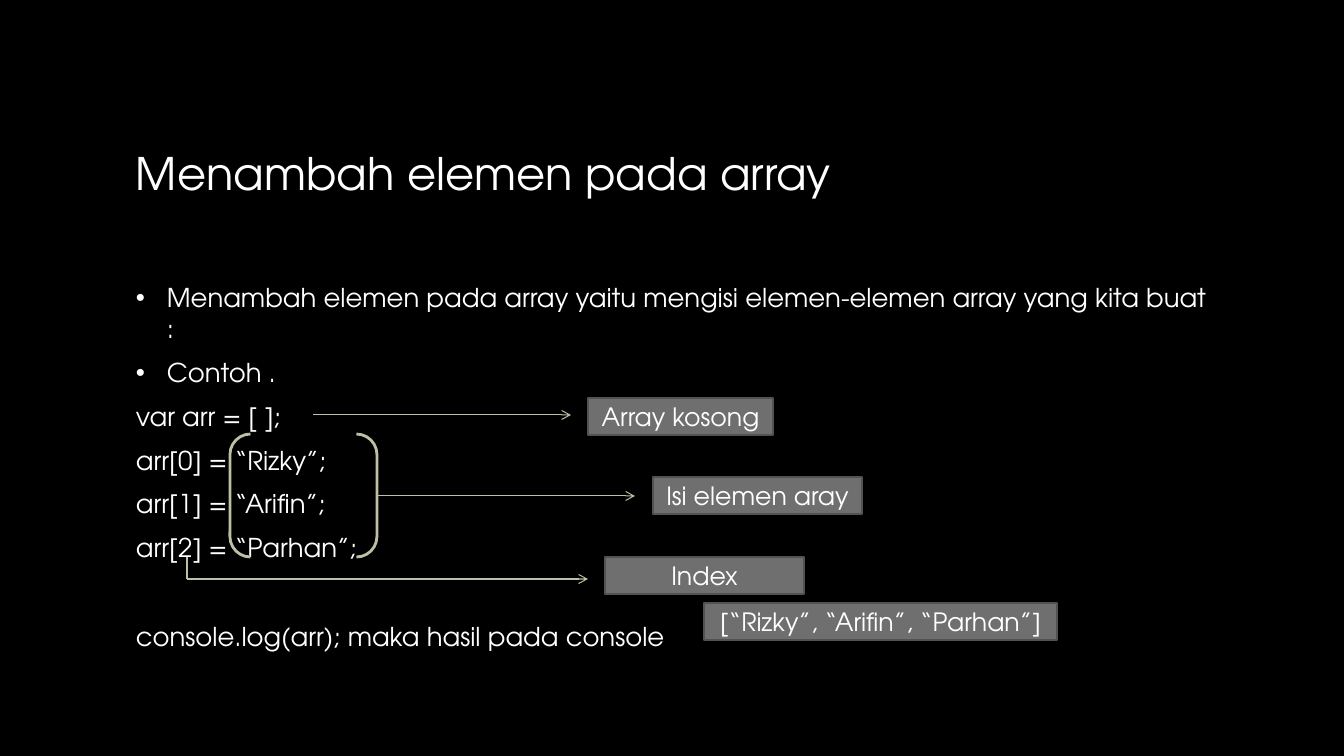
from dataclasses import dataclass

from lxml import etree
from pptx import Presentation
from pptx.dml.color import RGBColor
from pptx.enum.shapes import MSO_CONNECTOR, MSO_SHAPE
from pptx.enum.text import MSO_ANCHOR, PP_ALIGN
from pptx.oxml import parse_xml
from pptx.oxml.ns import nsdecls, qn
from pptx.util import Pt

RECTANGLE = MSO_SHAPE.RECTANGLE
BRACKETS = MSO_SHAPE.DOUBLE_BRACKET
STRAIGHT = MSO_CONNECTOR.STRAIGHT
MIDDLE = MSO_ANCHOR.MIDDLE
CENTER = PP_ALIGN.CENTER
PIXEL = 914400 * 10 // 1008  # EMU per pixel


@dataclass(frozen=True)
class Theme:
    """Colours, font and type sizes of the slide."""
    background: RGBColor = RGBColor(0, 0, 0)
    text: RGBColor = RGBColor(255, 255, 255)
    label_fill: RGBColor = RGBColor(0x6F, 0x6F, 0x6F)
    label_line: RGBColor = RGBColor(0x52, 0x52, 0x52)
    accent: RGBColor = RGBColor(0xBF, 0xBF, 0xA5)
    font: str = "TeX Gyre Adventor"
    title_size: float = 32
    body_size: float = 18.5
    label_size: float = 18


theme = Theme()


def add_text(paragraph, text, size, shadow=False):
    """Add one white run, with a soft text shadow if asked."""
    run = paragraph.add_run()
    run.text = text
    run.font.size = Pt(size)
    run.font.color.rgb = theme.text
    if shadow:
        run._r.get_or_add_rPr().append(parse_xml(
            f'<a:effectLst {nsdecls("a")}><a:outerShdw blurRad="50800" dist="38100" '
            'dir="2700000" algn="tl"><a:srgbClr val="000000"><a:alpha val="40000"/>'
            '</a:srgbClr></a:outerShdw></a:effectLst>'))
    run.font.name = theme.font


def add_text_box(left, top, width, height):
    """Add a wrapping, vertically centred text box and return its frame."""
    box = slide.shapes.add_textbox(*(v * PIXEL for v in (left, top, width, height)))
    box.text_frame.word_wrap = True
    box.text_frame.vertical_anchor = MIDDLE
    return box.text_frame


presentation = Presentation()
presentation.slide_width = 1344 * PIXEL
presentation.slide_height = 756 * PIXEL
slide = presentation.slides.add_slide(presentation.slide_layouts[6])
slide.background.fill.solid()
slide.background.fill.fore_color.rgb = theme.background

title = add_text_box(126, 68, 1092, 210)
add_text(title.paragraphs[0], "Menambah elemen pada array", theme.title_size, shadow=True)

# Body lines: text, bulleted, space before in points
body_lines = [
    ("Menambah elemen pada array yaitu mengisi elemen-elemen array yang kita buat : ", True, 3),
    ("Contoh . ", True, 3),
    ("var arr = [ ];", False, 3),
    ("arr[0] = “Rizky”;", False, 3),
    ("arr[1] = “Arifin”;", False, 3),
    ("arr[2] = “Parhan”;", False, 3),
    ("console.log(arr); maka hasil pada console", False, 35),
]
body = add_text_box(126, 294, 1092, 345)
for index, (text, bulleted, space_before) in enumerate(body_lines):
    paragraph = body.paragraphs[0] if index == 0 else body.add_paragraph()
    paragraph.space_before = Pt(space_before)
    paragraph.space_after = Pt(6)
    if bulleted:
        properties = paragraph._p.get_or_add_pPr()
        properties.set("marL", str(31 * PIXEL))
        properties.set("indent", str(-31 * PIXEL))
        colour = etree.SubElement(properties, qn("a:buClr"))
        etree.SubElement(colour, qn("a:srgbClr"), val=str(theme.text))
        etree.SubElement(properties, qn("a:buFont"), typeface="Arial")
        etree.SubElement(properties, qn("a:buChar"), char="•")
    add_text(paragraph, text, theme.body_size, shadow=True)

# Lines: start x, start y, end x, end y, width in points, arrowhead
lines = [
    (313, 415, 571, 415, 0.75, True),
    (377, 496, 635, 496, 0.75, True),
    (187, 579, 588, 579, 0.75, True),
    (187, 557, 187, 579, 2, False),
]
for *ends, width, arrowhead in lines:
    connector = slide.shapes.add_connector(STRAIGHT, *(v * PIXEL for v in ends))
    connector.line.color.rgb = theme.accent
    connector.line.width = Pt(width)
    if arrowhead:
        etree.SubElement(connector.line._get_or_add_ln(), qn("a:tailEnd"), type="arrow")
    etree.SubElement(connector._element.spPr, qn("a:effectLst"))

brackets = slide.shapes.add_shape(BRACKETS, *(v * PIXEL for v in (230, 434, 147, 123)))
brackets.shadow.inherit = False
brackets.fill.background()
brackets.line.color.rgb = theme.accent
brackets.line.width = Pt(2)

# Labels: text, left, top, width
labels = [
    ("Array kosong", 588, 398, 185),
    ("Isi elemen aray", 653, 477, 209),
    ("Index", 605, 557, 199),
    ("[“Rizky”, “Arifin”, “Parhan”]", 704, 603, 353),
]
for text, left, top, width in labels:
    label = slide.shapes.add_shape(RECTANGLE, *(v * PIXEL for v in (left, top, width, 37)))
    label.shadow.inherit = False
    label.fill.solid()
    label.fill.fore_color.rgb = theme.label_fill
    label.line.color.rgb = theme.label_line
    label.line.width = Pt(1.5)
    label.text_frame.word_wrap = True
    label.text_frame.vertical_anchor = MIDDLE
    paragraph = label.text_frame.paragraphs[0]
    paragraph.alignment = CENTER
    add_text(paragraph, text, theme.label_size)

presentation.save("out.pptx")
